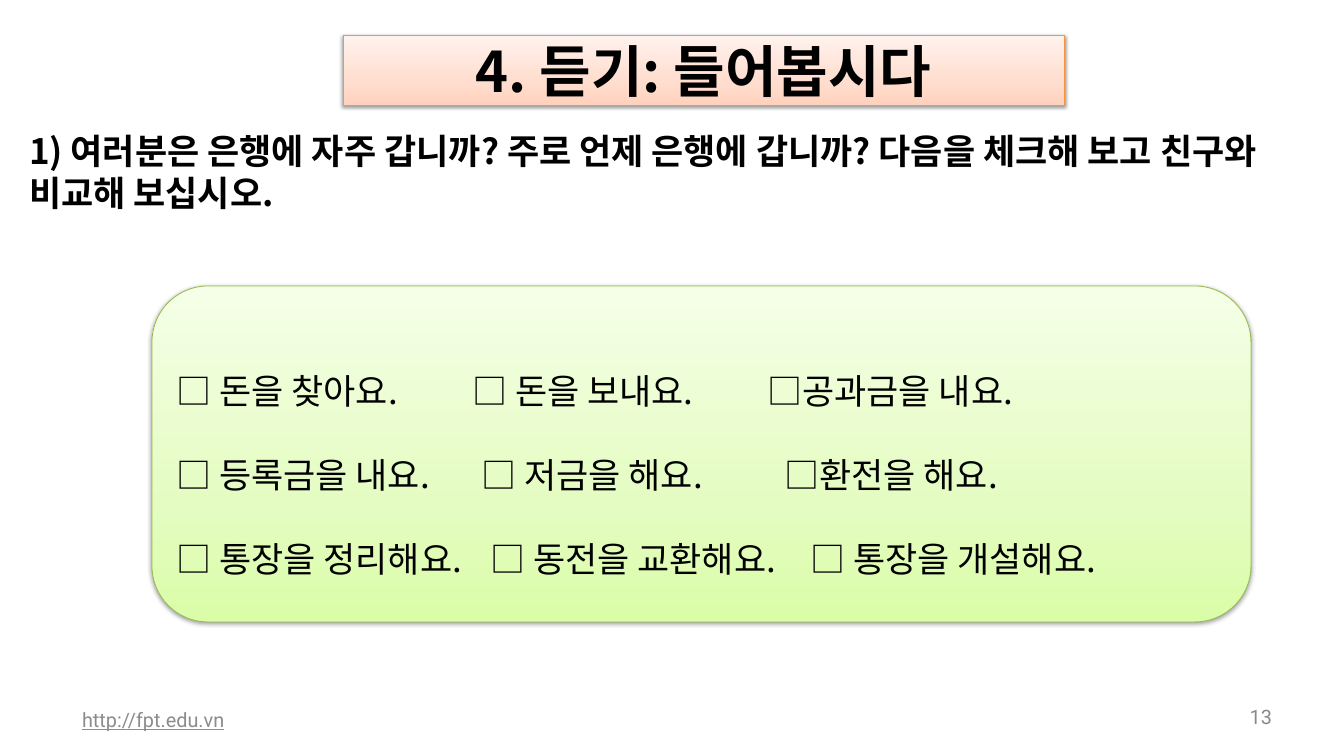
from dataclasses import dataclass

from lxml.etree import SubElement
from pptx import Presentation
from pptx.dml.color import RGBColor
from pptx.enum.shapes import MSO_SHAPE
from pptx.enum.text import MSO_ANCHOR, PP_ALIGN
from pptx.oxml.ns import qn
from pptx.util import Pt

EMU_PER_PX = 914400 / 84
KOREAN = "Noto Sans CJK KR"


@dataclass(frozen=True)
class Box:
    left: int
    top: int
    width: int
    height: int


@dataclass(frozen=True)
class TextStyle:
    size: int
    color: str = "000000"
    font: str = KOREAN
    bold: bool = False
    underline: bool = False
    align: PP_ALIGN = PP_ALIGN.LEFT


@dataclass(frozen=True)
class Panel:
    preset: MSO_SHAPE
    box: Box
    line: str
    gradient: tuple[tuple[int, str], ...]


@dataclass(frozen=True)
class CheckRow:
    items: tuple[str, ...]
    tabs: tuple[int, ...]


TITLE_PANEL = Panel(MSO_SHAPE.RECTANGLE, Box(343, 35, 721, 70), "F69240",
                    ((0, "FFD2BD"), (35, "FFDED0"), (100, "FFF2ED")))
CHECK_PANEL = Panel(MSO_SHAPE.ROUNDED_RECTANGLE, Box(152, 286, 1099, 336), "98B955",
                    ((0, "DAFDA7"), (35, "E4FCC2"), (100, "F5FFE7")))
CHECK_ROWS = (
    CheckRow(("□ 돈을 찾아요.", "□ 돈을 보내요.", "□공과금을 내요."), (296, 591)),
    CheckRow(("□ 등록금을 내요.", "□ 저금을 해요.", "□환전을 해요."), (305, 608)),
    CheckRow(("□ 통장을 정리해요.", "□ 동전을 교환해요.", "□ 통장을 개설해요."), (314, 634)),
)
QUESTION = ("1) 여러분은 은행에 자주 갑니까? 주로 언제 은행에 갑니까? "
            "다음을 체크해 보고 친구와 비교해 보십시오.")


def px(value: int) -> int:
    return round(value * EMU_PER_PX)


def rgb(color: str) -> RGBColor:
    return RGBColor.from_string(color)


def place(box: Box) -> tuple[int, ...]:
    return px(box.left), px(box.top), px(box.width), px(box.height)


def style_paragraph(paragraph, style: TextStyle) -> None:
    paragraph.alignment = style.align
    font = paragraph.font
    font.size = Pt(style.size)
    font.bold = style.bold
    font.underline = style.underline
    font.color.rgb = rgb(style.color)
    font.name = style.font
    properties = paragraph._p.pPr.find(qn("a:defRPr"))
    SubElement(properties, qn("a:ea"), typeface=style.font)


def set_frame(frame, anchor: MSO_ANCHOR, inset_x: int = 8, inset_y: int = 4) -> None:
    frame.word_wrap = True
    frame.vertical_anchor = anchor
    frame.margin_left = frame.margin_right = px(inset_x)
    frame.margin_top = frame.margin_bottom = px(inset_y)


def add_text(slide, box: Box, text: str, style: TextStyle,
             anchor: MSO_ANCHOR, inset_x: int, inset_y: int) -> None:
    frame = slide.shapes.add_textbox(*place(box)).text_frame
    set_frame(frame, anchor, inset_x, inset_y)
    frame.text = text
    style_paragraph(frame.paragraphs[0], style)


def add_panel(slide, panel: Panel):
    """Draw a panel with an upward gradient and a soft shadow; return its text frame."""
    shape = slide.shapes.add_shape(panel.preset, *place(panel.box))
    properties = shape._element.spPr
    gradient = SubElement(properties, qn("a:gradFill"), rotWithShape="1")
    stops = SubElement(gradient, qn("a:gsLst"))
    for position, color in panel.gradient:
        stop = SubElement(stops, qn("a:gs"), pos=str(position * 1000))
        SubElement(stop, qn("a:srgbClr"), val=color)
    SubElement(gradient, qn("a:lin"), ang="16200000", scaled="0")
    shape.line.color.rgb = rgb(panel.line)
    shape.line.width = Pt(0.75)
    effects = SubElement(properties, qn("a:effectLst"))
    shadow = SubElement(effects, qn("a:outerShdw"), blurRad="40000", dist="20000",
                        dir="5400000", rotWithShape="0")
    shadow_color = SubElement(shadow, qn("a:srgbClr"), val="000000")
    SubElement(shadow_color, qn("a:alpha"), val="38000")
    set_frame(shape.text_frame, MSO_ANCHOR.MIDDLE)
    return shape.text_frame


def add_check_rows(frame, rows: tuple[CheckRow, ...]) -> None:
    frame.text = "\n".join("\t".join(row.items) for row in rows)
    for paragraph, row in zip(frame.paragraphs, rows):
        tabs = SubElement(paragraph._p.get_or_add_pPr(), qn("a:tabLst"))
        for position in row.tabs:
            SubElement(tabs, qn("a:tab"), pos=str(px(position)), algn="l")
        paragraph.line_spacing = 2.0
        style_paragraph(paragraph, TextStyle(30))


def main() -> None:
    presentation = Presentation()
    presentation.slide_width = px(1344)
    presentation.slide_height = px(756)
    slide = presentation.slides.add_slide(presentation.slide_layouts[6])

    add_text(slide, Box(70, 700, 426, 40), "http://fpt.edu.vn",
             TextStyle(17, "8C8C8C", "Roboto", underline=True), MSO_ANCHOR.MIDDLE, 12, 6)
    add_text(slide, Box(1218, 700, 66, 34), "13",
             TextStyle(17, "898989", "Roboto", align=PP_ALIGN.RIGHT), MSO_ANCHOR.MIDDLE, 12, 6)

    title = add_panel(slide, TITLE_PANEL)
    title.text = "4. 듣기: 들어봅시다"
    style_paragraph(title.paragraphs[0], TextStyle(48, bold=True, align=PP_ALIGN.CENTER))

    add_text(slide, Box(21, 126, 1323, 56), QUESTION,
             TextStyle(30, bold=True), MSO_ANCHOR.TOP, 8, 4)
    add_check_rows(add_panel(slide, CHECK_PANEL), CHECK_ROWS)

    presentation.save("out.pptx")


if __name__ == "__main__":
    main()
